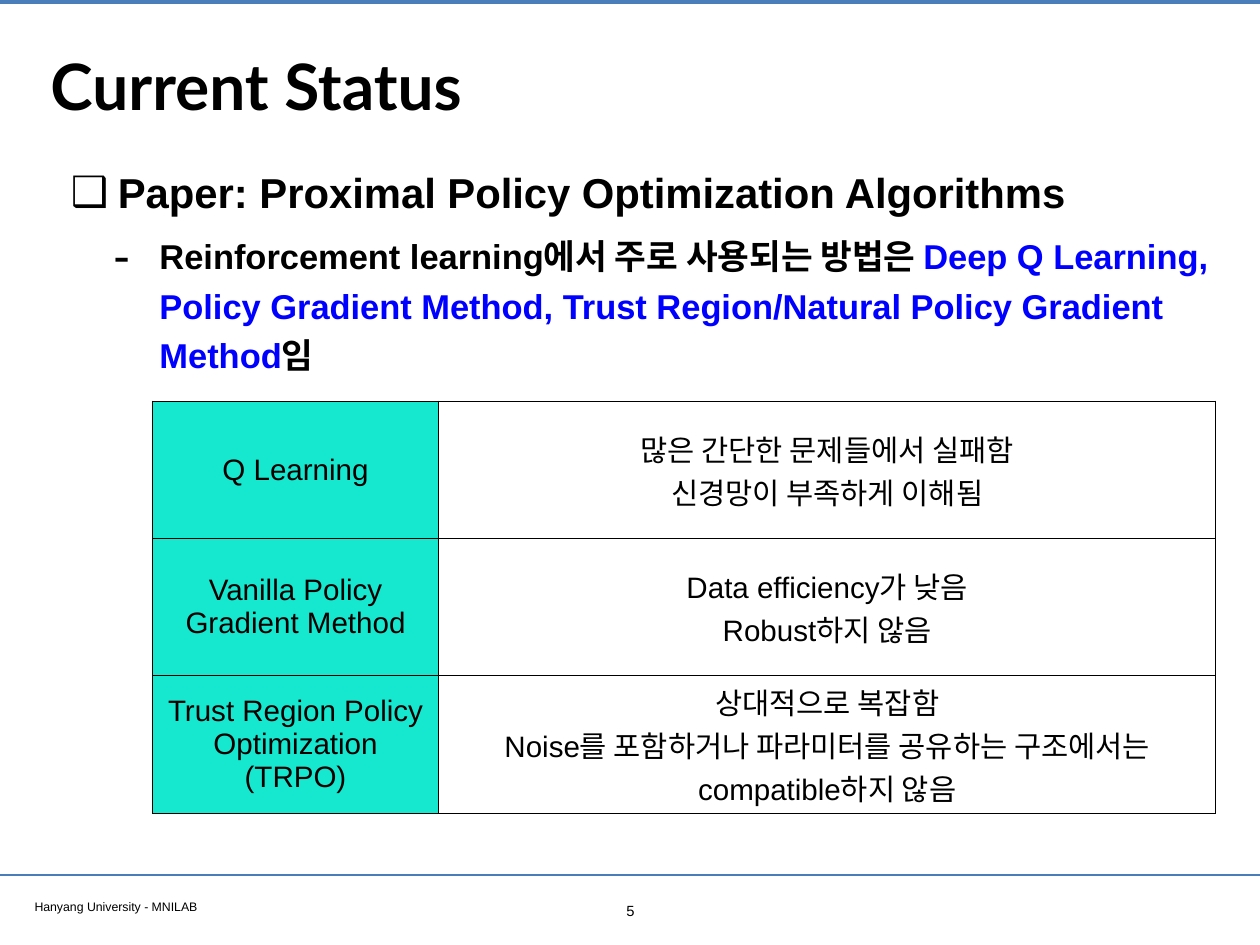
from lxml import etree
from pptx import Presentation
from pptx.dml.color import RGBColor
from pptx.enum.text import MSO_ANCHOR, MSO_AUTO_SIZE, PP_ALIGN
from pptx.oxml.ns import qn
from pptx.util import Inches, Pt

LEFT, CENTER = PP_ALIGN.LEFT, PP_ALIGN.CENTER
TOP, MIDDLE = MSO_ANCHOR.TOP, MSO_ANCHOR.MIDDLE
NO_AUTOFIT = MSO_AUTO_SIZE.NONE

# Content
COLORS = {"text": "000000", "accent": "0000FF", "rule": "4A7EBB", "method": "16E7CF"}
TITLE = "Current Status"
FOOTER = "Hanyang University - MNILAB"
PAGE_NUMBER = "5"
BULLETS = [
    {"level": 0, "char": "❑", "percent": 100, "indent": 0.53, "hang": 0.53, "size": 34, "before": 0,
     "runs": [("Paper: Proximal Policy Optimization Algorithms", "text")]},
    {"level": 1, "char": "-", "percent": 145, "indent": 1, "hang": 0.52, "size": 28, "before": 8,
     "runs": [("Reinforcement learning에서 주로 사용되는 방법은 ", "text"),
              ("Deep Q Learning, Policy Gradient Method, "
               "Trust Region/Natural Policy Gradient Method", "accent"),
              ("임", "text")]},
]
METHODS = [
    ("Q Learning", ["많은 간단한 문제들에서 실패함", "신경망이 부족하게 이해됨"]),
    ("Vanilla Policy Gradient Method", ["Data efficiency가 낮음", "Robust하지 않음"]),
    ("Trust Region Policy Optimization (TRPO)",
     ["상대적으로 복잡함", "Noise를 포함하거나 파라미터를 공유하는 구조에서는 compatible하지 않음"]),
]

# Layout, in inches
SLIDE_WIDTH, SLIDE_HEIGHT = 14.22, 10.67
RULES = [(0.02, 3.2), (9.88, 2)]
TITLE_BOX = (0.51, 0.28, 13.21, 1.35)
BODY_BOX = (0.74, 1.71, 13.35, 2.73)
FOOTER_BOX = (0.33, 10.09, 5.46, 0.26)
NUMBER_BOX = (6.92, 10.12, 0.39, 0.31)
TABLE_LEFT, TABLE_TOP = 1.72, 4.53
COLUMN_WIDTHS = (3.23, 8.77)
ROW_HEIGHT = 1.55
INSET = 0.06


def color(name):
    return RGBColor.from_string(COLORS[name])


def add_span(para, text, size, shade="text", font="Arial", bold=False):
    span = para.add_run()
    span.text = text
    span.font.name = font
    span.font.size = Pt(size)
    span.font.bold = bold
    span.font.color.rgb = color(shade)


def place(shape, box):
    shape.left, shape.top, shape.width, shape.height = map(Inches, box)


def prepare_frame(shape, anchor):
    frame = shape.text_frame
    frame.word_wrap = True
    frame.auto_size = NO_AUTOFIT
    frame.vertical_anchor = anchor
    frame.margin_left = frame.margin_right = Inches(INSET)
    frame.margin_top = frame.margin_bottom = Inches(INSET)
    return frame


def add_label(page, box, text, size, align):
    frame = prepare_frame(page.shapes.add_textbox(*map(Inches, box)), TOP)
    para = frame.paragraphs[0]
    para.alignment = align
    add_span(para, text, size)


def add_rule(page, y, weight):
    rule = page.shapes.add_connector(1, 0, Inches(y), Inches(SLIDE_WIDTH), Inches(y))
    rule.line.color.rgb = color("rule")
    rule.line.width = Pt(weight)
    etree.SubElement(rule._element.spPr, qn("a:effectLst"))


def set_bullet(para, item):
    props = para._p.get_or_add_pPr()
    props.set("marL", str(Inches(item["indent"])))
    props.set("indent", str(-Inches(item["hang"])))
    etree.SubElement(props, qn("a:buSzPct"), val=str(item["percent"] * 1000))
    etree.SubElement(props, qn("a:buFont"), typeface="Arial")
    etree.SubElement(props, qn("a:buChar"), char=item["char"])


def fill_body(frame):
    for index, item in enumerate(BULLETS):
        para = frame.add_paragraph() if index else frame.paragraphs[0]
        para.level = item["level"]
        set_bullet(para, item)
        para.alignment = LEFT
        para.line_spacing = 1.2
        para.space_before = Pt(item["before"])
        for text, shade in item["runs"]:
            add_span(para, text, item["size"], shade, bold=True)


def style_cell(cell, lines, shade=None):
    props = cell._tc.get_or_add_tcPr()
    for side in ("lnL", "lnR", "lnT", "lnB"):
        border = etree.SubElement(props, qn("a:" + side), w=str(Pt(1)))
        fill = etree.SubElement(border, qn("a:solidFill"))
        etree.SubElement(fill, qn("a:srgbClr"), val=COLORS["text"])
    if shade:
        cell.fill.solid()
        cell.fill.fore_color.rgb = color(shade)
    else:
        cell.fill.background()
    cell.vertical_anchor = MIDDLE
    for index, line in enumerate(lines):
        para = cell.text_frame.add_paragraph() if index else cell.text_frame.paragraphs[0]
        para.alignment = CENTER
        add_span(para, line, 24)


def add_methods_table(page):
    table = page.shapes.add_table(
        len(METHODS), len(COLUMN_WIDTHS), Inches(TABLE_LEFT), Inches(TABLE_TOP),
        Inches(sum(COLUMN_WIDTHS)), Inches(ROW_HEIGHT * len(METHODS))).table
    table.first_row = table.horz_banding = False
    for column, width in zip(table.columns, COLUMN_WIDTHS):
        column.width = Inches(width)
    for index, (method, limits) in enumerate(METHODS):
        table.rows[index].height = Inches(ROW_HEIGHT)
        style_cell(table.cell(index, 0), [method], "method")
        style_cell(table.cell(index, 1), limits)


def main():
    deck = Presentation()
    deck.slide_width, deck.slide_height = Inches(SLIDE_WIDTH), Inches(SLIDE_HEIGHT)
    page = deck.slides.add_slide(deck.slide_layouts[1])

    # Rules and footer
    for y, weight in RULES:
        add_rule(page, y, weight)
    add_label(page, FOOTER_BOX, FOOTER, 10, LEFT)
    add_label(page, NUMBER_BOX, PAGE_NUMBER, 12, CENTER)

    # Title
    title = page.shapes.title
    place(title, TITLE_BOX)
    para = prepare_frame(title, MIDDLE).paragraphs[0]
    para.alignment = LEFT
    add_span(para, TITLE, 52, font="Lato", bold=True)

    # Bullets and table
    body = page.placeholders[1]
    place(body, BODY_BOX)
    fill_body(prepare_frame(body, TOP))
    add_methods_table(page)

    deck.save("out.pptx")


if __name__ == "__main__":
    main()
